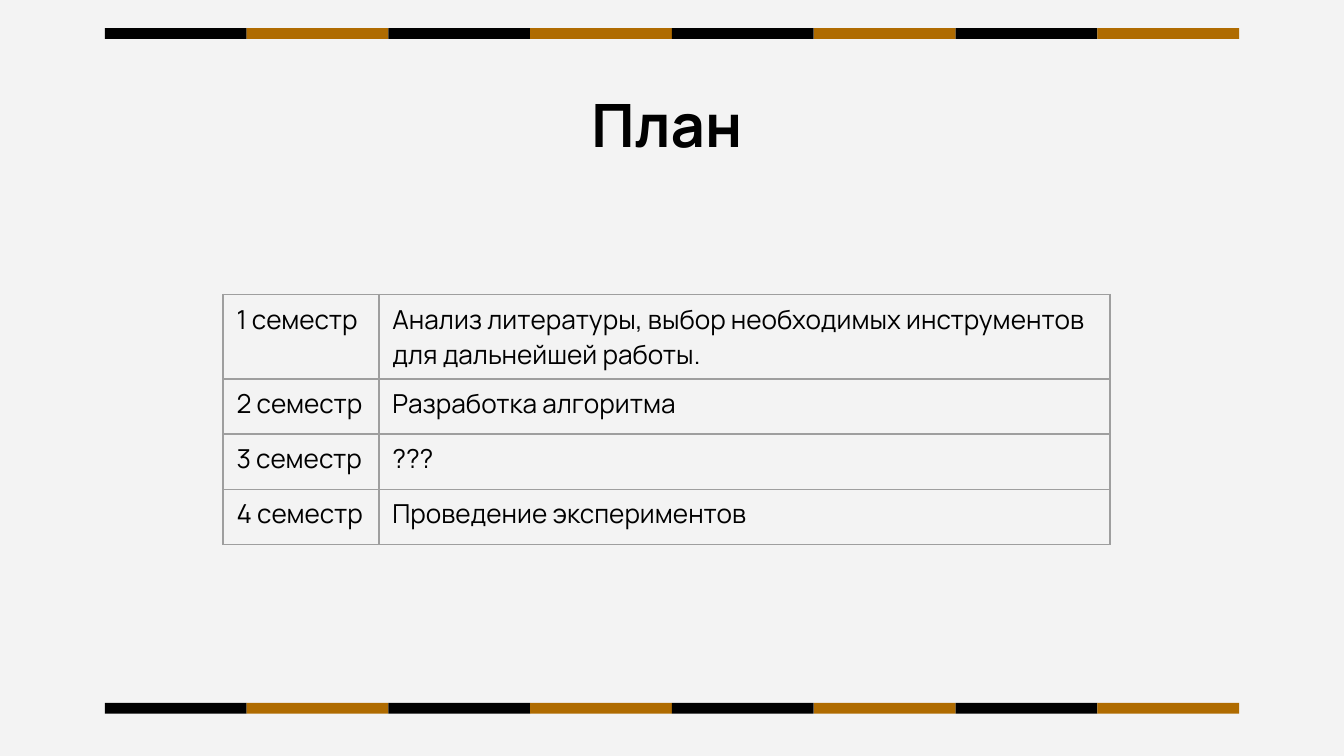
from lxml import etree
from pptx import Presentation
from pptx import util as u
from pptx.dml.color import RGBColor
from pptx.enum import shapes, text
from pptx.oxml.ns import qn

BACKGROUND = RGBColor(0xF3, 0xF3, 0xF3)
BLACK = RGBColor(0, 0, 0)
OCHRE = RGBColor(0xAF, 0x6B, 0x00)
BORDER = RGBColor(0x9E, 0x9E, 0x9E)
FONT = "Manrope"

# Row height and the two cells of each row
PLAN = [
    (0.63, "1 семестр", "Анализ литературы, выбор необходимых инструментов для дальнейшей работы."),
    (0.41, "2 семестр", "Разработка алгоритма"),
    (0.41, "3 семестр", "???"),
    (0.41, "4 семестр", "Проведение экспериментов"),
]
COLUMNS = (1.16, 5.44)


def write(tf, content, size=14, bold=False, color=BLACK):
    p = tf.paragraphs[0]
    p.alignment = text.PP_ALIGN.LEFT
    r = p.add_run()
    r.text = content
    r.font.name = FONT
    r.font.size = u.Pt(size)
    r.font.bold = bold
    r.font.color.rgb = color


def add_stripe(s, top, left=0.78, width=8.44, count=8):
    group = s.shapes.add_group_shape()
    step = width / count
    for i in range(count):
        sp = group.shapes.add_shape(
            shapes.MSO_SHAPE.RECTANGLE, u.Inches(left + i * step), u.Inches(top),
            u.Inches(step), u.Inches(0.08))
        sp.shadow.inherit = False
        sp.fill.solid()
        sp.fill.fore_color.rgb = OCHRE if i % 2 else BLACK
        sp.line.fill.background()


def add_title(s, content):
    sp = s.shapes.title
    sp.left, sp.top = u.Inches(4.3), u.Inches(0.6)
    sp.width, sp.height = u.Inches(1.39), u.Inches(0.64)
    tf = sp.text_frame
    tf.word_wrap = False
    tf.auto_size = text.MSO_AUTO_SIZE.SHAPE_TO_FIT_TEXT
    tf.vertical_anchor = text.MSO_ANCHOR.TOP
    write(tf, content, size=32, bold=True)


def set_borders(cell, color=BORDER, width=0.75):
    tc_pr = cell._tc.get_or_add_tcPr()
    # Border lines come before the fill in the cell properties
    for i, side in enumerate(("lnL", "lnR", "lnT", "lnB")):
        ln = etree.Element(qn(f"a:{side}"), w=str(u.Pt(width)))
        fill = etree.SubElement(ln, qn("a:solidFill"))
        etree.SubElement(fill, qn("a:srgbClr"), val=str(color))
        tc_pr.insert(i, ln)


def add_plan_table(s, rows):
    frame = s.shapes.add_table(
        len(rows), len(COLUMNS), u.Inches(1.66), u.Inches(2.19),
        u.Inches(sum(COLUMNS)), u.Inches(sum(row[0] for row in rows)))
    table = frame.table
    table.first_row = table.horz_banding = False
    for col, width in zip(table.columns, COLUMNS):
        col.width = u.Inches(width)
    for row, (height, *contents) in zip(table.rows, rows):
        row.height = u.Inches(height)
        for cell, content in zip(row.cells, contents):
            cell.fill.background()
            set_borders(cell)
            write(cell.text_frame, content)


def main():
    prs = Presentation()
    # Widescreen 16:9
    prs.slide_width, prs.slide_height = u.Inches(10), u.Inches(10 * 9 / 16)
    s = prs.slides.add_slide(prs.slide_layouts[5])
    s.background.fill.solid()
    s.background.fill.fore_color.rgb = BACKGROUND

    # Stripes along the bottom and top edges
    for top in (5.23, 0.21):
        add_stripe(s, top)

    # Semester plan
    add_plan_table(s, PLAN)
    add_title(s, "План")

    prs.save("out.pptx")


if __name__ == "__main__":
    main()
